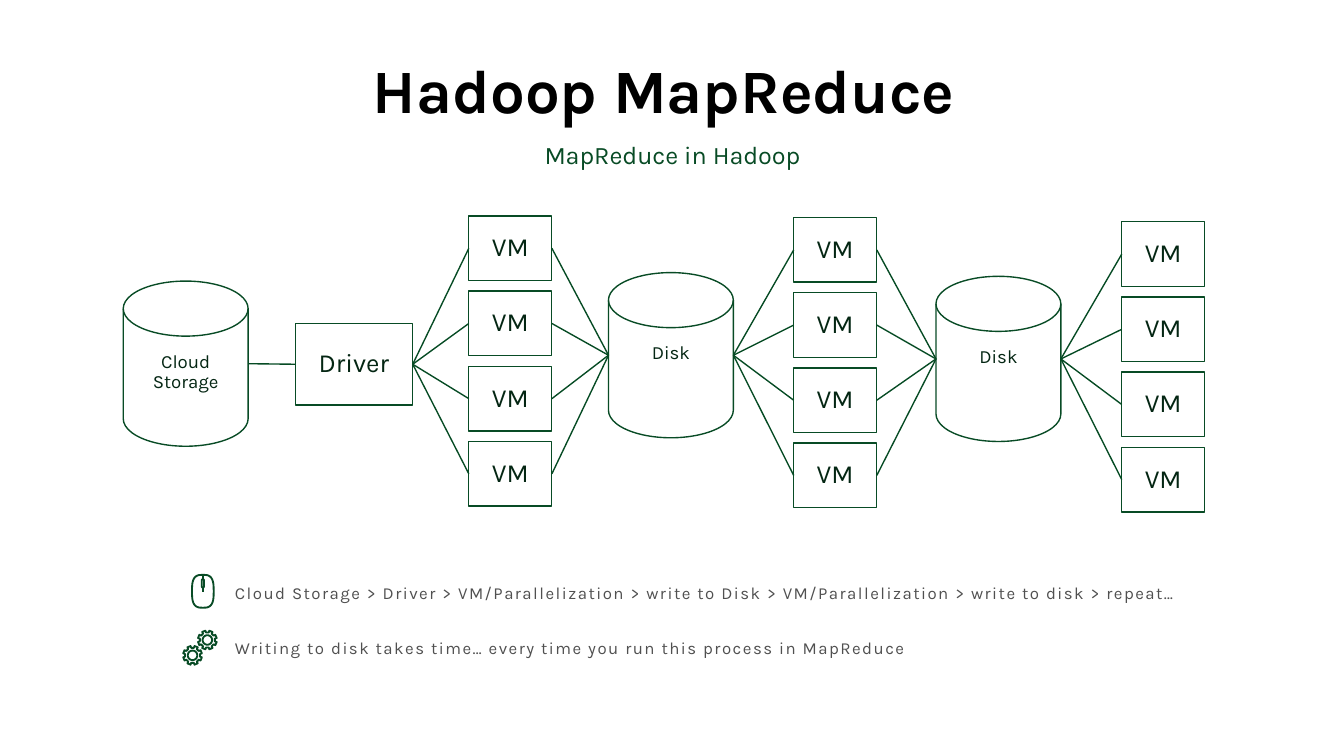
from math import copysign, cos, pi, sin

from lxml import etree
from pptx import Presentation
from pptx.dml.color import RGBColor
from pptx.enum.shapes import MSO_CONNECTOR, MSO_SHAPE
from pptx.enum.text import MSO_ANCHOR, PP_ALIGN
from pptx.oxml.ns import qn
from pptx.util import Cm, Pt

RECTANGLE = MSO_SHAPE.RECTANGLE
ROUNDED = MSO_SHAPE.ROUNDED_RECTANGLE
CYLINDER = MSO_SHAPE.FLOWCHART_MAGNETIC_DISK
STRAIGHT = MSO_CONNECTOR.STRAIGHT
TOP, MIDDLE = MSO_ANCHOR.TOP, MSO_ANCHOR.MIDDLE
LEFT, CENTER = PP_ALIGN.LEFT, PP_ALIGN.CENTER

FONT = "Karla"
COLORS = {
    "title": "000000",
    "outline": "084B25",
    "link": "064B24",
    "label": "042613",
    "note": "505050",
    "paper": "FFFFFF",
}


def color(name):
    return RGBColor.from_string(COLORS[name])


def format_paragraph(paragraph, size, color_name, align=CENTER, spacing=0.9, bold=False):
    paragraph.alignment = align
    paragraph.line_spacing = spacing
    font = paragraph.font
    font.name, font.size, font.bold = FONT, Pt(size), bold
    font.color.rgb = color(color_name)


def outline(shape, width, fill=None):
    shape.shadow.inherit = False
    shape.line.color.rgb = color("outline")
    shape.line.width = Pt(width)
    if fill:
        shape.fill.solid()
        shape.fill.fore_color.rgb = color(fill)
    else:
        shape.fill.background()


def add_heading(slide, box, text, size, color_name, spacing, bold=False):
    frame = slide.shapes.add_textbox(*map(Cm, box)).text_frame
    frame.word_wrap = True
    paragraph = frame.paragraphs[0]
    paragraph.text = text
    format_paragraph(paragraph, size, color_name, spacing=spacing, bold=bold)
    return frame


def add_node(slide, kind, box, text, size, anchor):
    shape = slide.shapes.add_shape(kind, *map(Cm, box))
    outline(shape, 0.75)
    frame = shape.text_frame
    frame.word_wrap = True
    frame.vertical_anchor = anchor
    frame.margin_left = frame.margin_right = Cm(0.38)
    frame.margin_top = frame.margin_bottom = Cm(0.3)
    paragraph = frame.paragraphs[0]
    paragraph.text = text
    format_paragraph(paragraph, size, "label")
    return shape


def add_storage(slide, left, top, text):
    return add_node(slide, CYLINDER, (left, top, 2.36, 3.12), text, 10, TOP)


def add_vm_column(slide, left, top):
    pitch = 1.42
    return [
        add_node(slide, RECTANGLE, (left, top + row * pitch, 1.57, 1.22), "VM", 14, MIDDLE)
        for row in range(4)
    ]


def add_line(slide, start, end, color_name, width):
    line = slide.shapes.add_connector(STRAIGHT, *start, *end)
    line.line.color.rgb = color(color_name)
    line.line.width = Pt(width)
    etree.SubElement(line._element.spPr, qn("a:effectLst"))


def link(slide, source, target):
    start = (source.left + source.width, source.top + source.height // 2)
    end = (target.left, target.top + target.height // 2)
    add_line(slide, start, end, "link", 0.75)


def add_flow(slide, left, top):
    storage = add_storage(slide, left, top + 1.23, "Cloud Storage")
    driver_box = (left + 3.25, top + 2.03, 2.22, 1.54)
    driver = add_node(slide, RECTANGLE, driver_box, "Driver", 14, MIDDLE)
    first_disk = add_storage(slide, left + 9.17, top + 1.07, "Disk")
    second_disk = add_storage(slide, left + 15.36, top + 1.14, "Disk")
    columns = [
        add_vm_column(slide, left + 6.53, top),
        add_vm_column(slide, left + 12.67, top + 0.03),
        add_vm_column(slide, left + 18.87, top + 0.11),
    ]
    link(slide, storage, driver)
    for source, column in zip((driver, first_disk, second_disk), columns):
        for vm in column:
            link(slide, source, vm)
    for column, target in zip(columns, (first_disk, second_disk)):
        for vm in column:
            link(slide, vm, target)


def add_outline(slide, contours, fill=None):
    contours = [[(Cm(x), Cm(y)) for x, y in contour] for contour in contours]
    builder = slide.shapes.build_freeform(*contours[0][0])
    builder.add_line_segments(contours[0][1:])
    for contour in contours[1:]:
        builder.move_to(*contour[0])
        builder.add_line_segments(contour[1:])
    outline(builder.convert_to_shape(), 1, fill)


def polar(center_x, center_y, radius, angle):
    return center_x + radius * cos(angle), center_y + radius * sin(angle)


def add_mouse(slide, left, top, width, height):
    center_x, center_y = left + width / 2, top + height / 2
    body = []
    for step in range(48):
        across, down = cos(step * pi / 24), sin(step * pi / 24)
        x = center_x + width / 2 * copysign(abs(across) ** 0.65, across)
        y = center_y + height / 2 * copysign(abs(down) ** 0.65, down)
        body.append((x, y))
    add_outline(slide, [body], "paper")
    start = (Cm(center_x), Cm(top))
    add_line(slide, start, (Cm(center_x), Cm(top + 0.33)), "outline", 1)
    wheel_box = (center_x - 0.02, top + 0.08, 0.04, 0.16)
    wheel = slide.shapes.add_shape(ROUNDED, *map(Cm, wheel_box))
    wheel.adjustments[0] = 0.5
    outline(wheel, 1, "paper")


def add_gear(slide, center_x, center_y, radius):
    teeth = 8
    profile = ((-0.27, 0.8), (-0.23, 1), (0.23, 1), (0.27, 0.8))
    rim = [
        polar(center_x, center_y, radius * reach, (tooth + 0.5 + turn) * 2 * pi / teeth)
        for tooth in range(teeth)
        for turn, reach in profile
    ]
    hole = [polar(center_x, center_y, radius * 0.5, step * pi / 12) for step in range(24)]
    add_outline(slide, [rim, hole])


def add_notes(slide, left, top, width, height):
    add_mouse(slide, left - 0.56, top + 0.17, 0.41, 0.62)
    add_gear(slide, left - 0.55, top + 1.69, 0.18)
    add_gear(slide, left - 0.27, top + 1.4, 0.18)
    box = slide.shapes.add_textbox(*map(Cm, (left, top, width, height)))
    frame = box.text_frame
    frame.word_wrap = True
    frame.text = "\n".join((
        "Cloud Storage > Driver > VM/Parallelization > write to Disk > "
        "VM/Parallelization > write to disk > repeat…",
        "Writing to disk takes time… every time you run this process in MapReduce",
    ))
    for paragraph in frame.paragraphs:
        format_paragraph(paragraph, 9, "note", LEFT, 1.5)
        paragraph.space_after = Pt(13.5)
        paragraph.runs[0]._r.get_or_add_rPr().set("spc", "80")


def main():
    presentation = Presentation()
    presentation.slide_width, presentation.slide_height = Cm(25.4), Cm(14.28)
    slide = presentation.slides.add_slide(presentation.slide_layouts[6])
    title = add_heading(
        slide, (1.73, 0.69, 21.92, 1.75), "Hadoop MapReduce", 33, "title", 1, True
    )
    title.margin_top = Cm(0.3)
    title.margin_right = Cm(0.54)
    add_heading(slide, (2.26, 2.57, 20.9, 0.79), "MapReduce in Hadoop", 13.5, "outline", 0.9)
    add_flow(slide, 2.33, 4.08)
    add_notes(slide, 4.19, 10.69, 20.04, 1.83)
    presentation.save("out.pptx")


if __name__ == "__main__":
    main()
